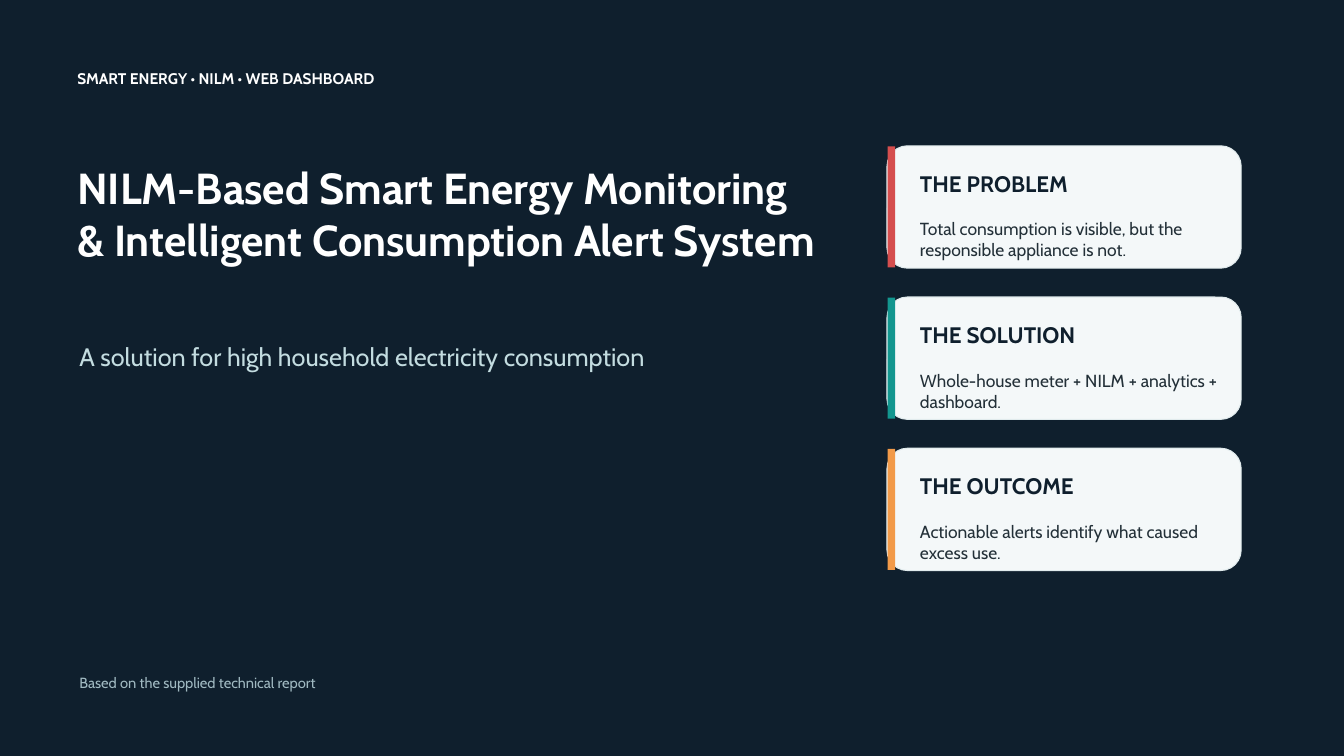
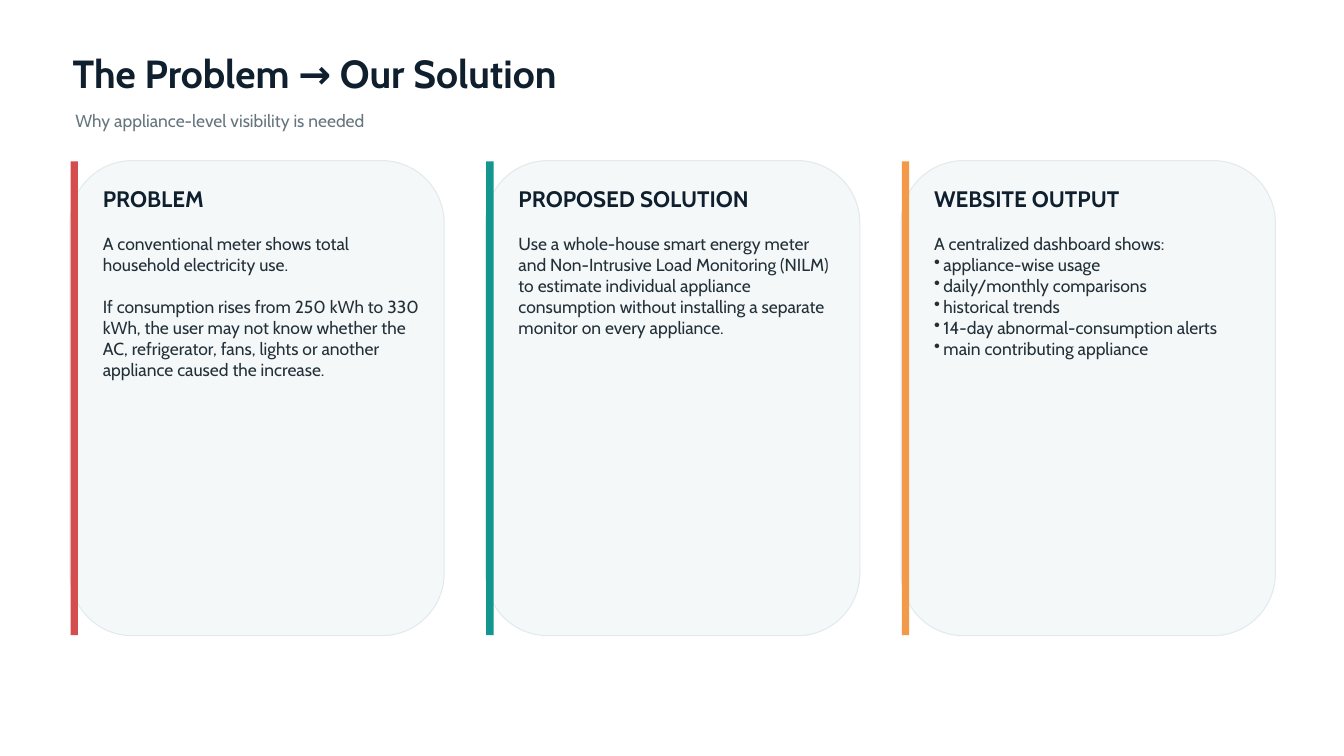
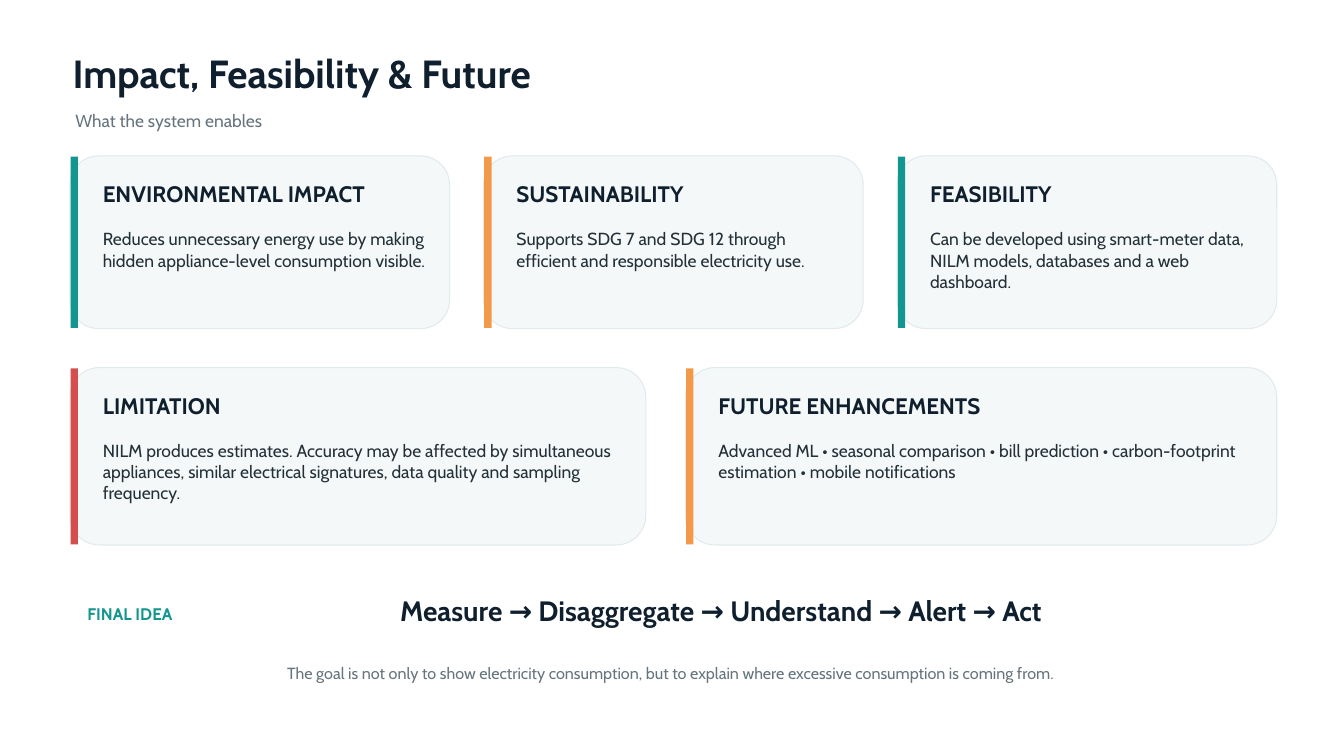
"""Build the three-slide deck on NILM energy monitoring."""
import pptx
import pptx.dml.color
import pptx.enum.shapes
import pptx.enum.text
import pptx.oxml.ns
import pptx.util
from lxml import etree

Inches, Pt = pptx.util.Inches, pptx.util.Pt
SHAPE = pptx.enum.shapes.MSO_SHAPE
ALIGN = pptx.enum.text.PP_ALIGN

FONT = "Cabin"
LEFT = 1.04
BODY = 18.75
COLORS = {
    "navy": "0F1F2D", "white": "FFFFFF", "card": "F4F8F9", "edge": "E1EBED",
    "ink": "233038", "gray": "66757D", "mist": "C3DCE0", "haze": "A0B9C1",
    "red": "D54E4E", "teal": "13968F", "orange": "F29A49",
}


def color(name):
    """Return the named colour."""
    return pptx.dml.color.RGBColor.from_string(COLORS[name])


def bullet(para):
    """Give a paragraph a hanging round bullet."""
    props = para._p.get_or_add_pPr()
    indent = Inches(0.14)
    props.set("marL", str(indent))
    props.set("indent", str(-indent))
    mark = etree.SubElement(props, pptx.oxml.ns.qn("a:buChar"))
    mark.set("char", "•")


def text(slide, box, lines, size, tint, bold=False, align=ALIGN.LEFT, gap=0, points=()):
    """Add a text box of plain lines, then bulleted points."""
    frame = slide.shapes.add_textbox(*map(Inches, box)).text_frame
    frame.word_wrap = True
    frame.margin_left = frame.margin_right = 0
    frame.margin_top = frame.margin_bottom = 0
    for i, line in enumerate([*lines, *points]):
        para = frame.add_paragraph() if i else frame.paragraphs[0]
        para.text = line
        if i >= len(lines):
            bullet(para)
        para.alignment = align
        para.line_spacing = Pt(size * 1.2)
        if i and gap:
            para.space_before = Pt(gap)
        font = para.font
        font.name, font.size, font.bold = FONT, Pt(size), bold
        font.color.rgb = color(tint)


def block(slide, kind, box, fill, edge=None):
    """Add a filled shape, outlined if an edge colour is given."""
    shape = slide.shapes.add_shape(kind, *map(Inches, box))
    shape.shadow.inherit = False
    shape.fill.solid()
    shape.fill.fore_color.rgb = color(fill)
    if edge:
        shape.line.color.rgb = color(edge)
        shape.line.width = Pt(1.13)
    else:
        shape.line.fill.background()


def card(slide, box, tint, head, lines, points=()):
    """Add a rounded card with an accent bar, a heading and a body."""
    x, y, w, h = box
    block(slide, SHAPE.ROUNDED_RECTANGLE, box, "card", "edge")
    block(slide, SHAPE.RECTANGLE, (x + 0.01, y + 0.01, 0.11, h - 0.02), tint)
    text(slide, (x + 0.49, y + 0.36, w - 0.82, 0.43), [head], 24, "navy", True)
    text(slide, (x + 0.49, y + 1.08, w - 0.82, h - 1.32), lines, BODY, "ink",
         gap=0 if points else BODY * 1.2, points=points)


def row(slide, top, high, right, widths, cards):
    """Spread cards with equal gaps from the left margin to the right edge."""
    gap = (right - LEFT - sum(widths)) / (len(widths) - 1)
    x = LEFT
    for width, item in zip(widths, cards):
        card(slide, (x, top, width, high), *item)
        x += width + gap


def add_page(deck):
    """Add a blank slide."""
    return deck.slides.add_slide(deck.slide_layouts[6])


def titled(deck, title, note):
    """Add a slide with a title and a subtitle."""
    slide = add_page(deck)
    text(slide, (1.08, 0.73, 17.81, 0.73), [title], 42, "navy", True)
    text(slide, (1.12, 1.63, 17.51, 0.5), [note], BODY, "gray")
    return slide


def cover(deck):
    """Build the dark opening slide."""
    slide = add_page(deck)
    slide.background.fill.solid()
    slide.background.fill.fore_color.rgb = color("navy")
    text(slide, (1.15, 1.03, 5.8, 0.5), ["SMART ENERGY • NILM • WEB DASHBOARD"],
         16.5, "white", True)
    text(slide, (1.15, 2.39, 12.26, 2.14),
         ["NILM-Based Smart Energy Monitoring",
          "& Intelligent Consumption Alert System"], 46.5, "white", True)
    text(slide, (1.18, 5.08, 11.06, 0.65),
         ["A solution for high household electricity consumption"], 27, "mist")
    cards = [
        ("red", "THE PROBLEM",
         ["Total consumption is visible, but the responsible appliance is not."]),
        ("teal", "THE SOLUTION",
         ["Whole-house meter + NILM + analytics + dashboard."]),
        ("orange", "THE OUTCOME",
         ["Actionable alerts identify what caused excess use."]),
    ]
    for i, item in enumerate(cards):
        card(slide, (13.2, 2.17 + 2.25 * i, 5.27, 1.82), *item)
    text(slide, (1.18, 10.03, 7.31, 0.35),
         ["Based on the supplied technical report"], 15.75, "haze")


def problem(deck):
    """Build the slide on the problem and its solution."""
    slide = titled(deck, "The Problem → Our Solution",
                   "Why appliance-level visibility is needed")
    row(slide, 2.39, 7.07, 18.98, [5.57] * 3, [
        ("red", "PROBLEM",
         ["A conventional meter shows total household electricity use.",
          "If consumption rises from 250 kWh to 330 kWh, the user may not know "
          "whether the AC, refrigerator, fans, lights or another appliance "
          "caused the increase."]),
        ("teal", "PROPOSED SOLUTION",
         ["Use a whole-house smart energy meter and Non-Intrusive Load "
          "Monitoring (NILM) to estimate individual appliance consumption "
          "without installing a separate monitor on every appliance."]),
        ("orange", "WEBSITE OUTPUT", ["A centralized dashboard shows:"],
         ["appliance-wise usage", "daily/monthly comparisons",
          "historical trends", "14-day abnormal-consumption alerts",
          "main contributing appliance"]),
    ])


def impact(deck):
    """Build the closing slide on impact and future work."""
    slide = titled(deck, "Impact, Feasibility & Future", "What the system enables")
    row(slide, 2.32, 2.57, 19, [5.65] * 3, [
        ("teal", "ENVIRONMENTAL IMPACT",
         ["Reduces unnecessary energy use by making hidden appliance-level "
          "consumption visible."]),
        ("orange", "SUSTAINABILITY",
         ["Supports SDG 7 and SDG 12 through efficient and responsible "
          "electricity use."]),
        ("teal", "FEASIBILITY",
         ["Can be developed using smart-meter data, NILM models, databases "
          "and a web dashboard."]),
    ])
    row(slide, 5.47, 2.64, 19, [8.57, 8.8], [
        ("red", "LIMITATION",
         ["NILM produces estimates. Accuracy may be affected by simultaneous "
          "appliances, similar electrical signatures, data quality and "
          "sampling frequency."]),
        ("orange", "FUTURE ENHANCEMENTS",
         ["Advanced ML • seasonal comparison • bill prediction • "
          "carbon-footprint estimation • mobile notifications"]),
    ])
    text(slide, (1.3, 8.98, 2.05, 0.35), ["FINAL IDEA"], 18, "teal", True)
    text(slide, (3.4, 8.83, 14.66, 0.73),
         ["Measure → Disaggregate → Understand → Alert → Act"],
         30, "navy", True, ALIGN.CENTER)
    text(slide, (1.6, 9.88, 16.76, 0.43),
         ["The goal is not only to show electricity consumption, but to explain "
          "where excessive consumption is coming from."],
         17.25, "gray", align=ALIGN.CENTER)


def main():
    """Build and save the deck."""
    deck = pptx.Presentation()
    deck.slide_width, deck.slide_height = Inches(20), Inches(11.25)
    cover(deck)
    problem(deck)
    impact(deck)
    deck.save("out.pptx")


if __name__ == "__main__":
    main()
